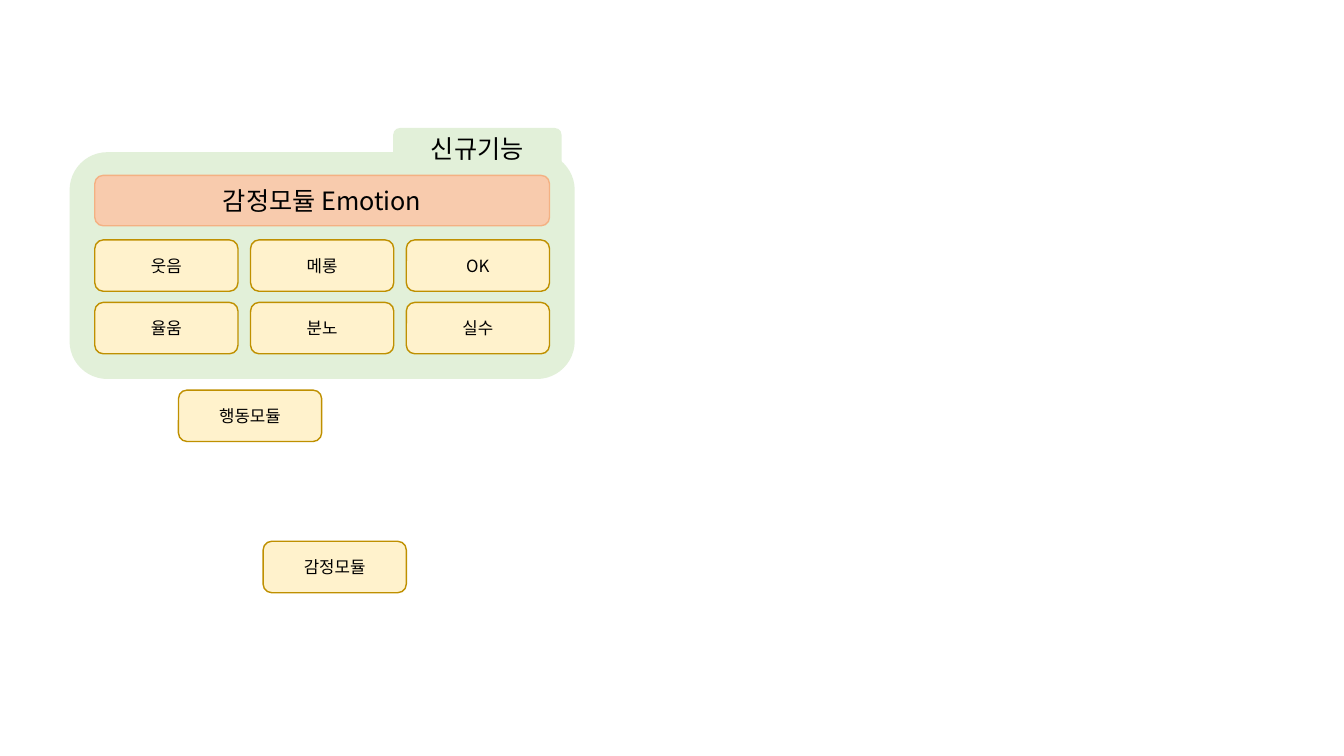
import dataclasses

import pptx
import pptx.dml.color
import pptx.enum.shapes
import pptx.enum.text
import pptx.oxml
import pptx.oxml.ns
import pptx.util

SHAPES = pptx.enum.shapes.MSO_SHAPE


@dataclasses.dataclass(frozen=True)
class Theme:
    font: str = "Noto Sans CJK KR"
    text: str = "000000"
    panel: str = "E2F0D9"
    header: str = "F8CBAD"
    header_line: str = "F4B183"
    module: str = "FFF2CC"
    module_line: str = "BF9000"
    heading_size: int = 18
    module_size: int = 12


THEME = Theme()

# Module grid, in inches
GRID_LEFT, GRID_TOP = 0.94, 2.38
COLUMN_STEP, ROW_STEP = 1.545, 0.62
MODULE_WIDTH, MODULE_HEIGHT = 1.42, 0.51
EMOTIONS = [["웃음", "메롱", "OK"], ["율움", "분노", "실수"]]
GRID_WIDTH = COLUMN_STEP * (len(EMOTIONS[0]) - 1) + MODULE_WIDTH


def rgb(value):
    return pptx.dml.color.RGBColor.from_string(value)


def add_box(slide, box, fill, line=None, kind=SHAPES.ROUNDED_RECTANGLE):
    shape = slide.shapes.add_shape(kind, *map(pptx.util.Inches, box))
    shape.shadow.inherit = False
    shape.fill.solid()
    shape.fill.fore_color.rgb = rgb(fill)
    if line:
        shape.line.color.rgb = rgb(line)
        shape.line.width = pptx.util.Pt(1)
    else:
        shape.line.fill.background()
    return shape


def add_label(shape, text, size):
    """Centre the text and set its font for Latin and Korean letters."""
    frame = shape.text_frame
    frame.vertical_anchor = pptx.enum.text.MSO_ANCHOR.MIDDLE
    paragraph = frame.paragraphs[0]
    paragraph.text = text
    paragraph.alignment = pptx.enum.text.PP_ALIGN.CENTER
    font = paragraph.font
    font.name = THEME.font
    font.size = pptx.util.Pt(size)
    font.color.rgb = rgb(THEME.text)
    properties = paragraph._p.pPr.find(pptx.oxml.ns.qn("a:defRPr"))
    latin = properties.find(pptx.oxml.ns.qn("a:latin"))
    latin.addnext(pptx.oxml.parse_xml(
        f'<a:ea {pptx.oxml.ns.nsdecls("a")} typeface="{THEME.font}"/>'))


def add_module(slide, left, top, text):
    module = add_box(slide, (left, top, MODULE_WIDTH, MODULE_HEIGHT),
                     THEME.module, THEME.module_line)
    add_label(module, text, THEME.module_size)


def add_emotion_panel(slide):
    add_box(slide, (0.69, 1.51, 5.01, 2.25), THEME.panel)
    header = add_box(slide, (GRID_LEFT, 1.74, GRID_WIDTH, 0.5), THEME.header,
                     THEME.header_line, SHAPES.FLOWCHART_ALTERNATE_PROCESS)
    add_label(header, "감정모듈 Emotion", THEME.heading_size)
    for row, emotions in enumerate(EMOTIONS):
        for column, emotion in enumerate(emotions):
            add_module(slide, GRID_LEFT + column * COLUMN_STEP,
                       GRID_TOP + row * ROW_STEP, emotion)
    tab = add_box(slide, (3.9, 1.27, 1.67, 0.4), THEME.panel)
    add_label(tab, "신규기능", THEME.heading_size)


def main():
    deck = pptx.Presentation()
    deck.slide_width = pptx.util.Inches(13.33)
    deck.slide_height = pptx.util.Inches(7.5)
    slide = deck.slides.add_slide(deck.slide_layouts.get_by_name("Blank"))
    add_emotion_panel(slide)
    add_module(slide, 2.61, 5.37, "감정모듈")
    add_module(slide, 1.77, 3.87, "행동모듈")
    deck.save("out.pptx")


if __name__ == "__main__":
    main()
